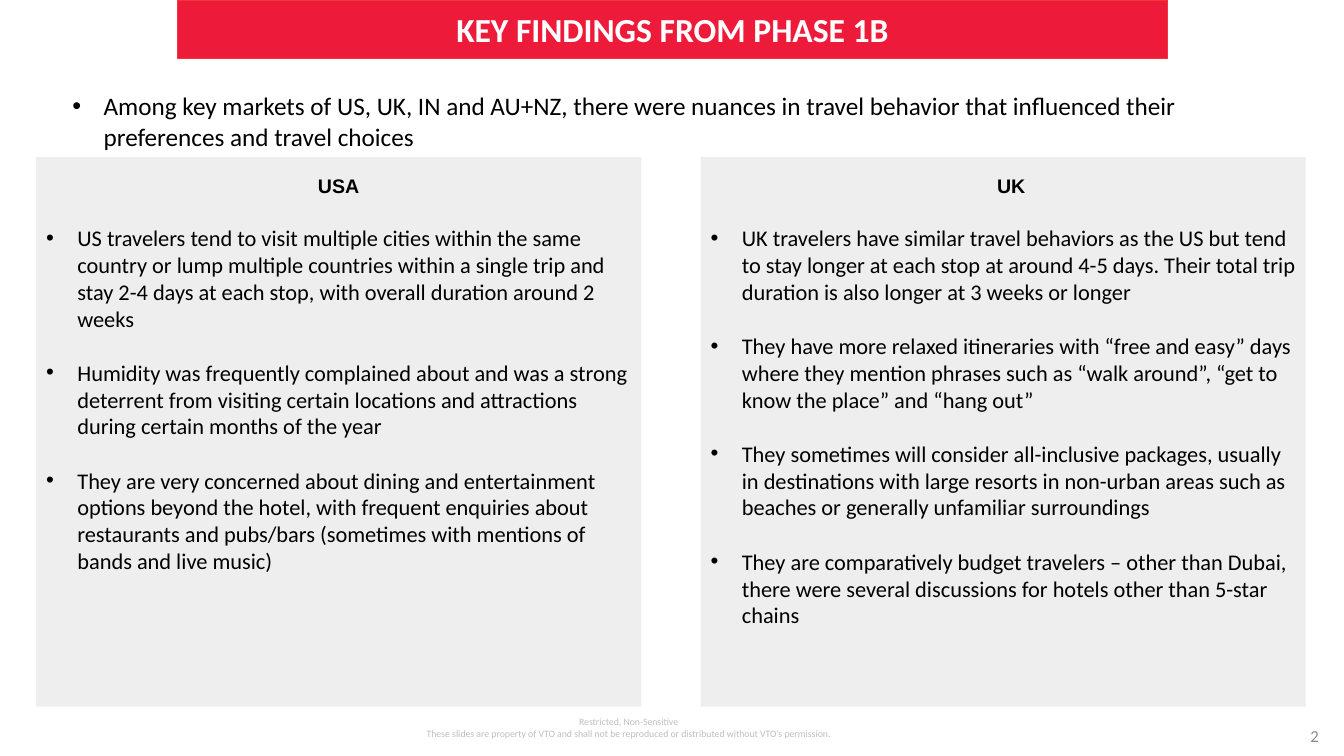
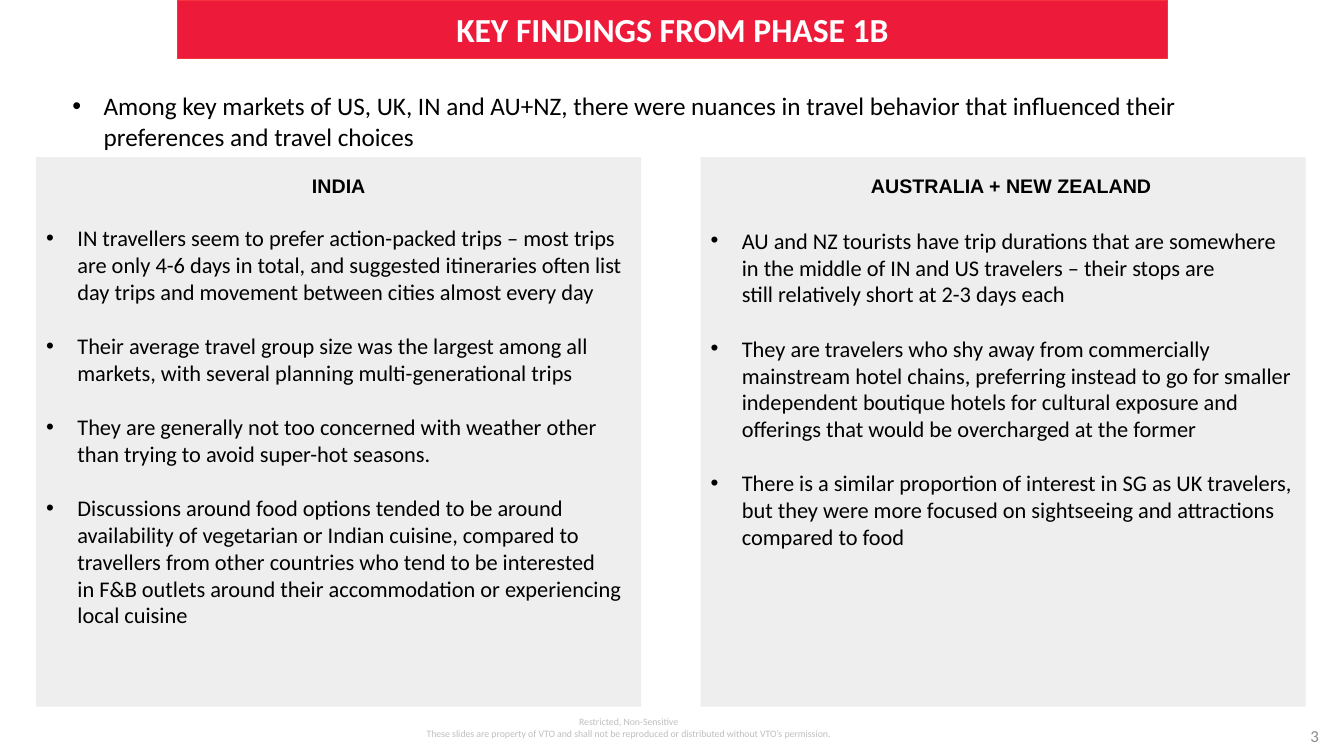
from lxml import etree
from pptx import Presentation
from pptx import util as u
from pptx.dml.color import RGBColor
from pptx.enum import shapes, text

RED, RED_EDGE, PANEL = "EE1A3A", "F4333D", "EEEEEE"
BLACK, WHITE, PALE, GREY = "000000", "FFFFFF", "BFBFBF", "8C8C8C"
BODY, HEAD = "Calibri", "Arial"
LEFT, CENTER, RIGHT = text.PP_ALIGN.LEFT, text.PP_ALIGN.CENTER, text.PP_ALIGN.RIGHT
TOP, MIDDLE = text.MSO_ANCHOR.TOP, text.MSO_ANCHOR.MIDDLE

TITLE = "KEY FINDINGS FROM PHASE 1B"
INTRO = ("Among key markets of US, UK, IN and AU+NZ, there were nuances in travel behavior "
         "that influenced their preferences and travel choices")
FOOTER = ["Restricted, Non-Sensitive",
          "These slides are property of VTO and shall not be reproduced or distributed "
          "without VTO’s permission."]

USA = ("USA", [
    "US travelers tend to visit multiple cities within the same country or lump multiple "
    "countries within a single trip and stay 2-4 days at each stop, with overall duration "
    "around 2 weeks",
    "Humidity was frequently complained about and was a strong deterrent from visiting "
    "certain locations and attractions during certain months of the year",
    "They are very concerned about dining and entertainment options beyond the hotel, with "
    "frequent enquiries about restaurants and pubs/bars (sometimes with mentions of bands "
    "and live music)\u00a0"], 19)
UK = ("UK", [
    "UK travelers have similar travel behaviors as the US but tend to stay longer at each "
    "stop at around 4-5 days. Their total trip duration is also longer at 3 weeks or longer",
    "They have more relaxed itineraries\u00a0with “free and easy” days where they mention "
    "phrases such as “walk around”, “get to know the place” and “hang out”",
    "They sometimes will consider all-inclusive packages,\u00a0usually in destinations with "
    "large resorts in\u00a0non-urban areas such as beaches or generally unfamiliar surroundings",
    "They are comparatively budget travelers – other than Dubai, there were several "
    "discussions for hotels other than 5-star chains"], 19)
INDIA = ("INDIA", [
    "IN travellers seem to prefer action-packed trips – most trips are only\u00a04-6 days in "
    "total, and suggested itineraries often list day trips and movement between cities "
    "almost every day",
    "Their average travel group size was the largest among all markets, with several "
    "planning multi-generational trips",
    "They are generally not too concerned with weather other than trying to avoid super-hot "
    "seasons.",
    "Discussions around food options tended to be around availability of vegetarian or "
    "Indian cuisine, compared to travellers from other countries\u00a0who tend to be interested "
    "in\u00a0F&B outlets around their accommodation or experiencing local cuisine"], 19)
AUSTRALIA_NZ = ("AUSTRALIA + NEW ZEALAND", [
    "AU and NZ tourists have trip durations that are somewhere in the middle of IN and US "
    "travelers – their stops are still\u00a0relatively short at 2-3 days each",
    "They are travelers who shy away from commercially mainstream hotel chains, preferring "
    "instead to go for smaller independent boutique hotels for cultural exposure and "
    "offerings that would be overcharged at the former",
    "There is a similar proportion of interest in SG as UK travelers, but they were more "
    "focused on sightseeing and attractions compared to food"], 21)


def color(value):
    """Turn a hex string into a colour."""
    return RGBColor.from_string(value)


def set_frame(sp, anchor):
    """Wrap and anchor a shape's text and return its frame."""
    tf = sp.text_frame
    tf.word_wrap = True
    tf.vertical_anchor = anchor
    return tf


def add_text_box(s, box, anchor=TOP):
    """Add a text box and return its frame."""
    return set_frame(s.shapes.add_textbox(*map(u.Inches, box)), anchor)


def add_rect(s, box, fill, line=None, anchor=TOP):
    """Add a flat rectangle and return its text frame."""
    sp = s.shapes.add_shape(shapes.MSO_SHAPE.RECTANGLE, *map(u.Inches, box))
    sp.shadow.inherit = False
    sp.fill.solid()
    sp.fill.fore_color.rgb = color(fill)
    if line:
        sp.line.color.rgb = color(line)
        sp.line.width = u.Pt(0.75)
    else:
        sp.line.fill.background()
    return set_frame(sp, anchor)


def add_para(tf, words, size, tint=BLACK, font=BODY, bold=False, align=LEFT):
    """Write the next paragraph of a frame and return it."""
    p = tf.paragraphs[0]
    if p.runs:
        p = tf.add_paragraph()
    p.alignment = align
    r = p.add_run()
    r.text = words
    r.font.size, r.font.name, r.font.bold = u.Pt(size), font, bold
    r.font.color.rgb = color(tint)
    return p


def indent(p, margin, first=0):
    """Set a paragraph's left margin and first-line indent."""
    pr = p._p.get_or_add_pPr()
    pr.set("marL", str(u.Inches(margin)))
    pr.set("indent", str(u.Inches(first)))
    return pr


def add_bullet(tf, words, size):
    """Add a bulleted paragraph with a hanging indent."""
    p = add_para(tf, words, size)
    pr = indent(p, 0.31, -0.31)
    ns = "{http://schemas.openxmlformats.org/drawingml/2006/main}"
    etree.SubElement(pr, ns + "buFont").set("typeface", HEAD)
    etree.SubElement(pr, ns + "buChar").set("char", "•")
    return p


def add_panel(s, box, market, heading_indent=0):
    """Draw one market's panel: heading over spaced bullets."""
    heading, findings, heading_gap = market
    tf = add_rect(s, box, PANEL)
    p = add_para(tf, heading, 14, font=HEAD, bold=True, align=CENTER)
    indent(p, heading_indent)
    p.line_spacing = 1.5
    p.space_after = u.Pt(heading_gap)
    for i, finding in enumerate(findings):
        p = add_bullet(tf, finding, 16)
        if i:
            p.space_before = u.Pt(19.5)


def add_footer(s, number):
    """Add the notice and the slide number."""
    tf = add_text_box(s, (2.9, 7.05, 6.67, 0.34))
    for line in FOOTER:
        add_para(tf, line, 7, PALE, align=CENTER)
    tf = add_text_box(s, (10.18, 7.1, 3, 0.4), MIDDLE)
    add_para(tf, str(number), 12, GREY, align=RIGHT)


def add_findings_slide(prs, number, left, right):
    """Build a slide comparing two markets."""
    s = prs.slides.add_slide(prs.slide_layouts[6])
    add_footer(s, number)
    tf = add_rect(s, (1.76, 0, 9.82, 0.58), RED, RED_EDGE, MIDDLE)
    add_para(tf, TITLE, 24, WHITE, bold=True, align=CENTER)
    add_panel(s, (0.36, 1.56, 6, 5.45), left)
    add_panel(s, (6.95, 1.56, 6, 5.45), right, 0.16)
    add_bullet(add_text_box(s, (0.62, 0.85, 12.37, 0.71)), INTRO, 18)


prs = Presentation()
prs.slide_width, prs.slide_height = u.Inches(13.33), u.Inches(7.5)
for number, pair in enumerate([(USA, UK), (INDIA, AUSTRALIA_NZ)], start=2):
    add_findings_slide(prs, number, *pair)
prs.save("out.pptx")
